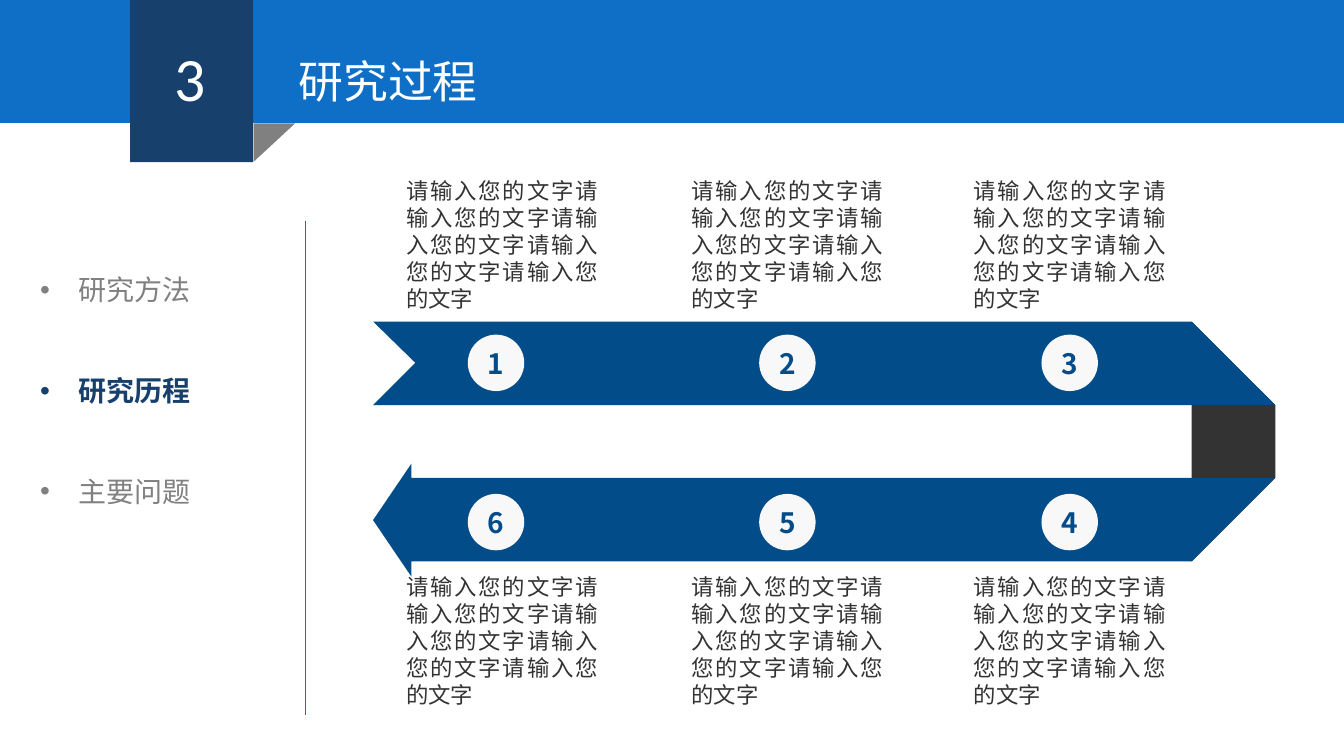
from dataclasses import dataclass

from pptx import Presentation
from pptx.dml.color import RGBColor
from pptx.enum.shapes import MSO_CONNECTOR, MSO_SHAPE
from pptx.enum.text import MSO_ANCHOR, MSO_AUTO_SIZE, PP_ALIGN
from pptx.oxml.ns import qn
from pptx.util import Pt
from lxml.etree import SubElement

SCALE = 9144  # EMU in one px, 100 px to the inch


@dataclass(frozen=True)
class Theme:
    blue: str = "0F6FC6"
    navy: str = "17406D"
    ribbon: str = "024C89"
    fold: str = "333333"
    grey: str = "808080"
    white: str = "FFFFFF"
    disc: str = "F8F8F8"
    main_font: str = "Calibri"
    step_font: str = "Noto Sans CJK SC"
    chapter_size: int = 44
    title_size: int = 32
    label_size: int = 20
    body_size: int = 16


THEME = Theme()
AGENDA = ["研究方法", "研究历程", "主要问题"]
CURRENT = "研究历程"
STEP_TEXT = "请输入您的文字" * 5
# Left edges of the number disc and the text in each column
COLUMNS = [(464, 393), (753, 676), (1033, 956)]
# Disc top, text top and step numbers of each row
ROWS = [(332, 171, "123"), (490, 564, "654")]


def px(*lengths):
    return [length * SCALE for length in lengths]


def style_text(para, size, color, font=THEME.main_font, bold=False):
    for span in para.runs:
        span.font.size = Pt(size)
        span.font.bold = bold
        span.font.name = font
        span.font.color.rgb = RGBColor.from_string(color)
        east_asian = SubElement(span.font._element, qn("a:ea"))
        east_asian.set("typeface", THEME.main_font)


def paint(shape, color):
    shape.shadow.inherit = False
    shape.fill.solid()
    shape.fill.fore_color.rgb = RGBColor.from_string(color)
    shape.line.fill.background()
    return shape


def add_block(page, kind, place, color):
    return paint(page.shapes.add_shape(kind, *px(*place)), color)


def add_outline(page, points, color):
    builder = page.shapes.build_freeform(*points[0], scale=SCALE)
    builder.add_line_segments(points[1:], close=True)
    return paint(builder.convert_to_shape(), color)


def add_text(page, place, text):
    box = page.shapes.add_textbox(*px(*place))
    frame = box.text_frame
    frame.word_wrap = True
    frame.auto_size = MSO_AUTO_SIZE.SHAPE_TO_FIT_TEXT
    frame.text = text
    return frame


def add_divider(page):
    line = page.shapes.add_connector(MSO_CONNECTOR.STRAIGHT, *px(303, 219, 303, 709))
    line.line.color.rgb = RGBColor.from_string(THEME.blue)
    line.line.width = Pt(0.5)
    SubElement(line._element.spPr, qn("a:effectLst"))


def add_agenda(page):
    frame = add_text(page, (30, 199, 321, 313), "\n".join(AGENDA))
    for para in frame.paragraphs:
        active = para.text == CURRENT
        para.line_spacing = 3.0
        properties = para._p.get_or_add_pPr()
        properties.set("marL", "342900")
        properties.set("indent", "-342900")
        SubElement(properties, qn("a:buFont")).set("typeface", "Arial")
        SubElement(properties, qn("a:buChar")).set("char", "•")
        style_text(para, THEME.label_size, THEME.navy if active else THEME.grey, bold=active)


def add_header(page):
    add_block(page, MSO_SHAPE.RECTANGLE, (0, 0, 1333, 122), THEME.blue)
    add_block(page, MSO_SHAPE.RECTANGLE, (129, 0, 122, 161), THEME.navy)
    corner = add_block(page, MSO_SHAPE.RIGHT_TRIANGLE, (253, 121, 38, 41), THEME.grey)
    corner.rotation = 90
    chapter = add_text(page, (163, 35, 54, 84), "3")
    style_text(chapter.paragraphs[0], THEME.chapter_size, THEME.white)

    # Title, brought in front of the band
    title = page.shapes.title
    title.left, title.top, title.width, title.height = px(286, 48, 391, 64)
    frame = title.text_frame
    frame.text = "研究过程"
    frame.vertical_anchor = MSO_ANCHOR.TOP
    frame.auto_size = MSO_AUTO_SIZE.SHAPE_TO_FIT_TEXT
    frame.paragraphs[0].alignment = PP_ALIGN.LEFT
    style_text(frame.paragraphs[0], THEME.title_size, THEME.white)
    title.element.getparent().append(title.element)


def add_ribbon(page):
    # Fold at the right, then the lower arrow and the upper band
    add_outline(page, [(1265, 402), (1265, 474), (1182, 557), (1182, 319)], THEME.fold)
    add_outline(page, [(408, 474), (1265, 474), (1182, 557), (408, 557),
                       (408, 572), (370, 516), (408, 460)], THEME.ribbon)
    add_outline(page, [(370, 319), (1182, 319), (1265, 402), (370, 402),
                       (412, 360)], THEME.ribbon)


def add_disc(page, left, top, number):
    disc = add_block(page, MSO_SHAPE.OVAL, (left, top, 56, 56), THEME.disc)
    frame = disc.text_frame
    frame.margin_left = frame.margin_right = frame.margin_top = frame.margin_bottom = 0
    frame.vertical_anchor = MSO_ANCHOR.MIDDLE
    frame.text = number
    frame.paragraphs[0].alignment = PP_ALIGN.CENTER
    style_text(frame.paragraphs[0], THEME.label_size, THEME.ribbon, THEME.step_font, bold=True)


def add_step_text(page, left, top):
    para = add_text(page, (left, top, 210, 145), STEP_TEXT).paragraphs[0]
    para.alignment = PP_ALIGN.JUSTIFY
    style_text(para, THEME.body_size, THEME.fold, THEME.step_font)


def main():
    deck = Presentation()
    deck.slide_width, deck.slide_height = px(1333, 750)
    page = deck.slides.add_slide(deck.slide_layouts[5])
    add_divider(page)
    add_agenda(page)
    add_header(page)
    add_ribbon(page)
    for disc_top, text_top, numbers in ROWS:
        for (disc_left, text_left), number in zip(COLUMNS, numbers):
            add_disc(page, disc_left, disc_top, number)
            add_step_text(page, text_left, text_top)
    deck.save("out.pptx")


if __name__ == "__main__":
    main()
